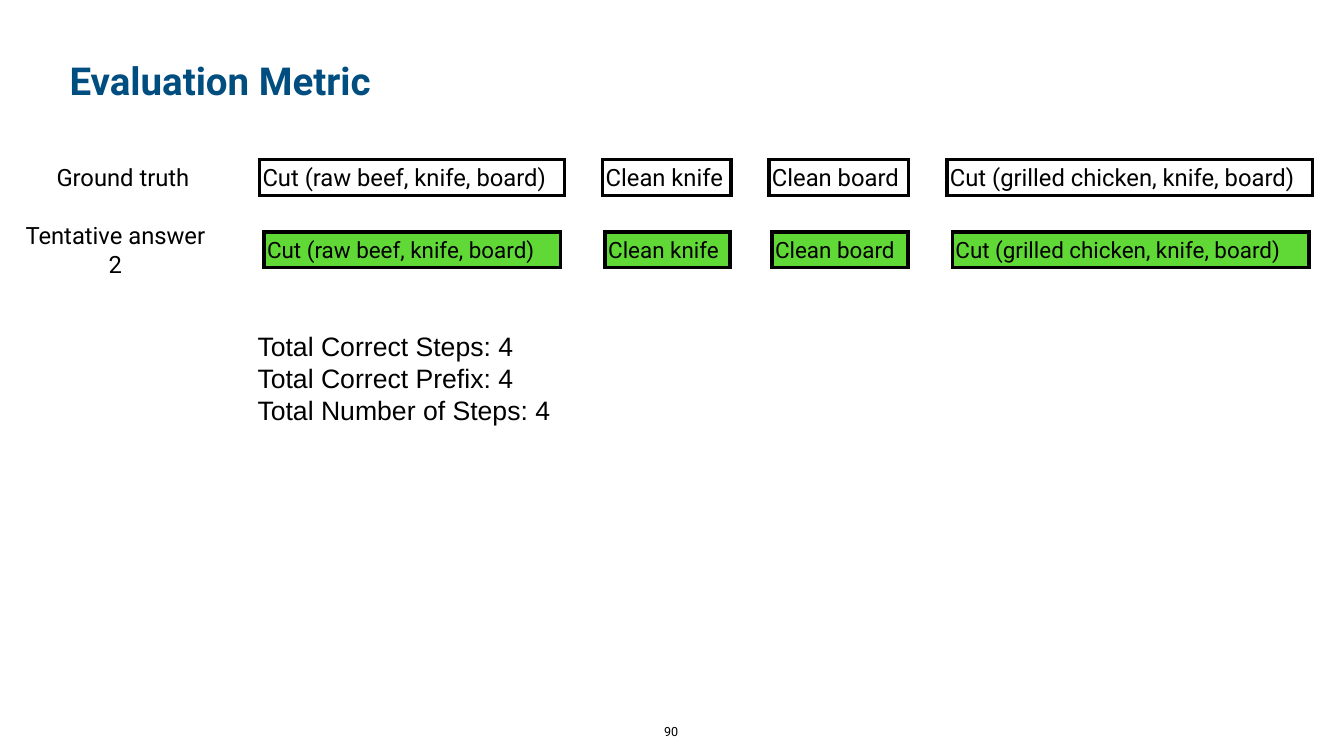
"""Build the evaluation metric slide comparing a tentative answer with the ground truth."""
import lxml.etree
import pptx
import pptx.dml.color
import pptx.enum.shapes
import pptx.enum.text
import pptx.oxml.ns
import pptx.util

Inches = pptx.util.Inches
ALIGN = pptx.enum.text.PP_ALIGN
ANCHOR = pptx.enum.text.MSO_ANCHOR
AUTO_SIZE = pptx.enum.text.MSO_AUTO_SIZE

COLORS = {"text": "000000", "title": "004D80", "correct": "60D937"}
TITLE = "Evaluation Metric"
STEPS = [
    "Cut (raw beef, knife, board) ",
    "Clean knife",
    "Clean board",
    "Cut (grilled chicken, knife, board) ",
]
ROWS = [
    {"label": "Ground truth", "label_box": (1.03, 3.19, 2.82, 0.65),
     "top": 3.16, "height": 0.72, "size": 34, "fill": None,
     "spans": [(5.15, 6.05), (11.96, 2.55), (15.26, 2.77), (18.79, 7.26)]},
    {"label": "Tentative answer 2", "label_box": (0.36, 4.62, 3.86, 0.65),
     "top": 4.6, "height": 0.71, "size": 32, "fill": "correct",
     "spans": [(5.24, 5.88), (12.01, 2.48), (15.32, 2.7), (18.9, 7.08)]},
]
TOTALS = ["Total Correct Steps: 4", "Total Correct Prefix: 4", "Total Number of Steps: 4"]
PAGE_NUMBER = "90"


def color(name):
    return pptx.dml.color.RGBColor.from_string(COLORS[name])


def write(shape, lines, size, font="Roboto", tint="text", bold=False,
          align=ALIGN.CENTER, anchor=ANCHOR.MIDDLE, wrap=True, grow=True):
    frame = shape.text_frame
    frame.margin_left = frame.margin_right = Inches(0.06)
    frame.margin_top = frame.margin_bottom = Inches(0.06)
    frame.vertical_anchor = anchor
    frame.word_wrap = wrap
    frame.auto_size = AUTO_SIZE.SHAPE_TO_FIT_TEXT if grow else AUTO_SIZE.NONE
    frame.text = "\n".join(lines)
    for paragraph in frame.paragraphs:
        paragraph.alignment = align
        paragraph.font.name = font
        paragraph.font.size = pptx.util.Pt(size)
        paragraph.font.bold = bold
        paragraph.font.color.rgb = color(tint)


def add_text(slide, box, lines, size, **style):
    write(slide.shapes.add_textbox(*map(Inches, box)), lines, size, **style)


def add_step(slide, box, step, size, fill):
    shape = slide.shapes.add_shape(
        pptx.enum.shapes.MSO_SHAPE.RECTANGLE, *map(Inches, box))
    shape.shadow.inherit = False
    if fill:
        shape.fill.solid()
        shape.fill.fore_color.rgb = color(fill)
    else:
        shape.fill.background()
    shape.line.color.rgb = color("text")
    shape.line.width = pptx.util.Pt(5)
    outline = shape.element.spPr.find(pptx.oxml.ns.qn("a:ln"))
    lxml.etree.SubElement(outline, pptx.oxml.ns.qn("a:miter"), lim="400000")
    write(shape, [step], size, align=ALIGN.LEFT, wrap=False)


def main():
    presentation = pptx.Presentation()
    presentation.slide_width = Inches(26.67)
    presentation.slide_height = Inches(15)
    slide = presentation.slides.add_slide(presentation.slide_layouts[6])

    add_text(slide, (1.32, 1.07, 24.03, 1.57), [TITLE], 55, tint="title", bold=True,
             align=ALIGN.LEFT, anchor=ANCHOR.TOP, grow=False)
    for row in ROWS:
        add_text(slide, row["label_box"], [row["label"]], 34)
        for step, (left, width) in zip(STEPS, row["spans"]):
            box = (left, row["top"], width, row["height"])
            add_step(slide, box, step, row["size"], row["fill"])
    add_text(slide, (5.05, 6.49, 6.25, 2.03), TOTALS, 38, font="Arial", align=ALIGN.LEFT)
    add_text(slide, (13.02, 14.31, 0.6, 0.41), [PAGE_NUMBER], 18,
             anchor=ANCHOR.BOTTOM, wrap=False, grow=False)

    presentation.save("out.pptx")


if __name__ == "__main__":
    main()
